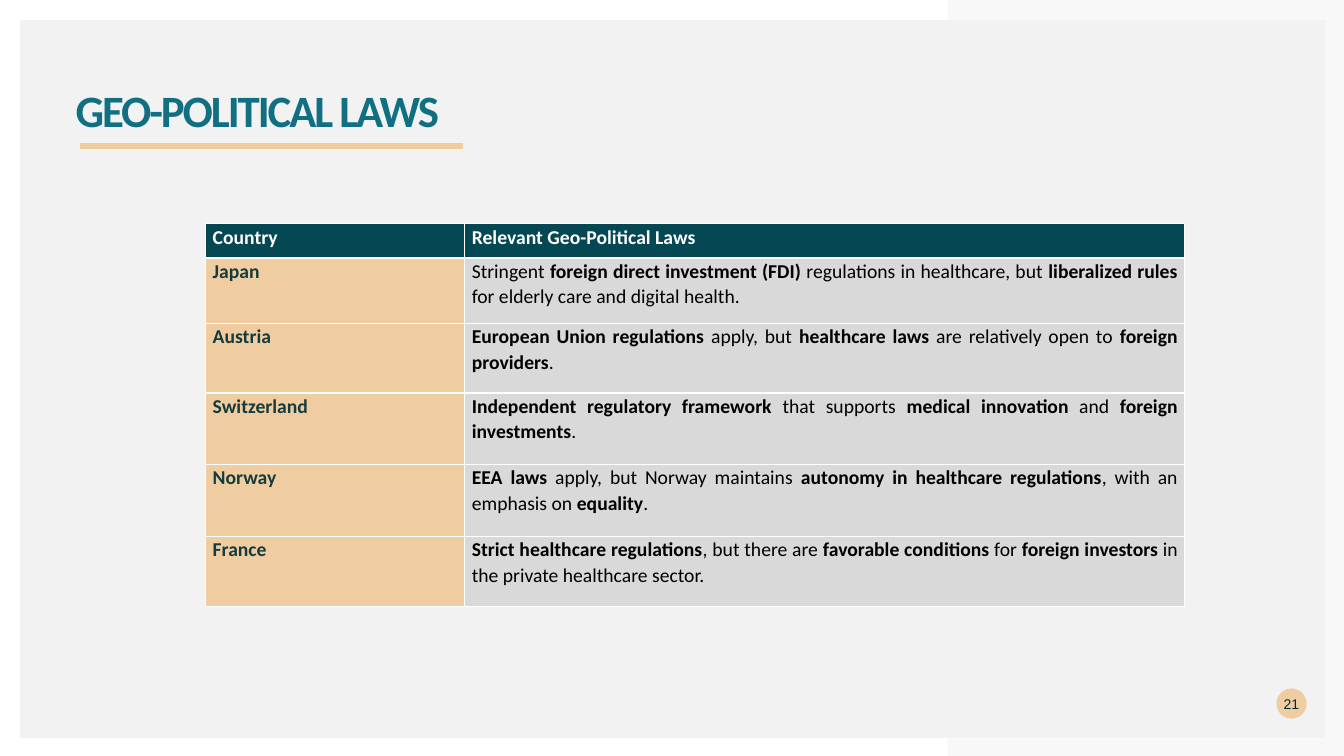
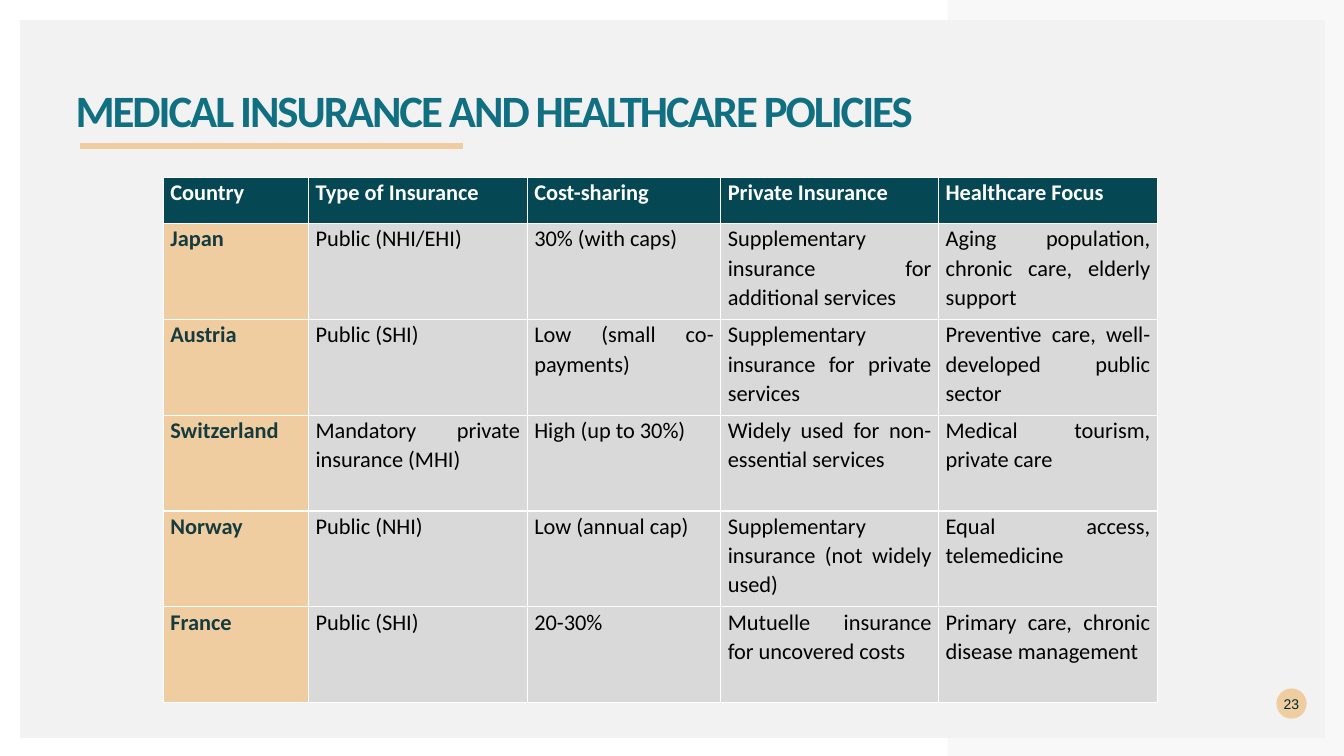
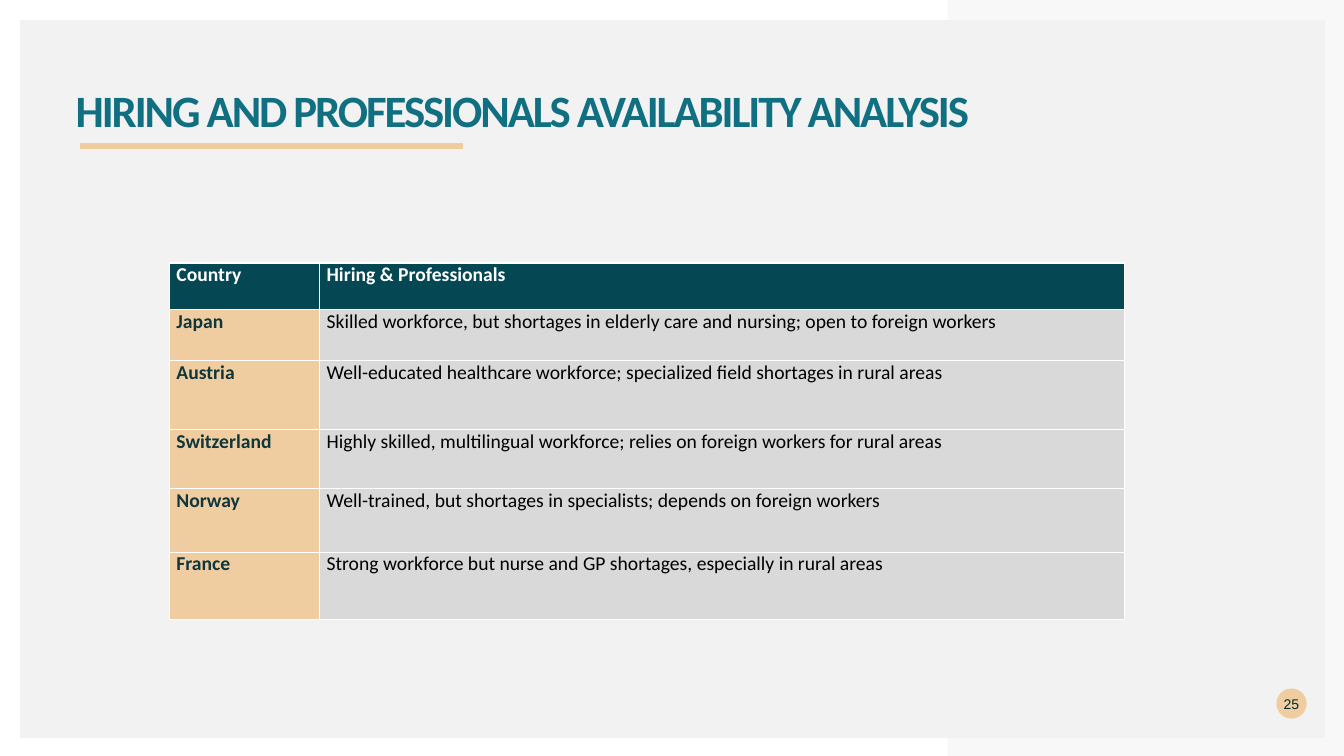
import lxml.etree
import pptx
import pptx.dml.color
import pptx.enum.shapes
import pptx.enum.text
import pptx.oxml.ns
import pptx.util

Inches = pptx.util.Inches
Pt = pptx.util.Pt
qn = pptx.oxml.ns.qn
SHAPES = pptx.enum.shapes.MSO_SHAPE
ALIGN = pptx.enum.text.PP_ALIGN

# Shared colours and fonts
WHITE, BLACK = "FFFFFF", "000000"
PANEL_GREY, CELL_GREY = "F2F2F2", "D9D9D9"
TEAL, DARK_TEAL, NUMBER_TEAL = "107082", "054854", "00292E"
SAND = "F0CDA1"
BODY_FONT, NUMBER_FONT = "Calibri", "Arial"

# Slide content; ** switches bold on and off
LAWS = [
    ["Country", "Relevant Geo-Political Laws"],
    ["Japan", "Stringent **foreign direct investment (FDI)** regulations in healthcare, "
     "but **liberalized rules** for elderly care and digital health."],
    ["Austria", "**European Union regulations** apply, but **healthcare laws** "
     "are relatively open to **foreign providers**."],
    ["Switzerland", "**Independent regulatory framework** that supports "
     "**medical innovation** and **foreign investments**."],
    ["Norway", "**EEA laws** apply, but Norway maintains "
     "**autonomy in healthcare regulations**, with an emphasis on **equality**."],
    ["France", "**Strict healthcare regulations**, but there are **favorable conditions** "
     "for **foreign investors** in the private healthcare sector."],
]
INSURANCE = [
    ["Country", "Type of Insurance", "Cost-sharing", "Private Insurance", "Healthcare Focus"],
    ["Japan", "Public (NHI/EHI)", "30% (with caps)",
     "Supplementary insurance for additional services",
     "Aging population, chronic care, elderly support"],
    ["Austria", "Public (SHI)", "Low (small co-payments)",
     "Supplementary insurance for private services",
     "Preventive care, well-developed public sector"],
    ["Switzerland", "Mandatory private insurance (MHI)", "High (up to 30%)",
     "Widely used for non-essential services", "Medical tourism, private care"],
    ["Norway", "Public (NHI)", "Low (annual cap)",
     "Supplementary insurance (not widely used)", "Equal access, telemedicine"],
    ["France", "Public (SHI)", "20-30%",
     "Mutuelle insurance for uncovered costs", "Primary care, chronic disease management"],
]
HIRING = [
    ["Country", "Hiring & Professionals"],
    ["Japan", "Skilled workforce, but shortages in elderly care and nursing; "
     "open to foreign workers"],
    ["Austria", "Well-educated healthcare workforce; specialized field shortages in rural areas"],
    ["Switzerland", "Highly skilled, multilingual workforce; "
     "relies on foreign workers for rural areas"],
    ["Norway", "Well-trained, but shortages in specialists; depends on foreign workers"],
    ["France", "Strong workforce but nurse and GP shortages, especially in rural areas"],
]


def rgb(value):
    return pptx.dml.color.RGBColor.from_string(value)


def fill_shape(shape, color):
    shape.shadow.inherit = False
    shape.fill.solid()
    shape.fill.fore_color.rgb = rgb(color)
    shape.line.fill.background()


def format_run(run, size, color, bold=False, font=BODY_FONT):
    run.font.name = font
    run.font.size = Pt(size)
    run.font.bold = bold
    run.font.color.rgb = rgb(color)


def clear_margins(text_frame):
    text_frame.margin_left = text_frame.margin_right = 0
    text_frame.margin_top = text_frame.margin_bottom = 0


# Background panel and the translucent frame around its right part
def add_background(slide):
    panel = slide.shapes.add_shape(
        SHAPES.RECTANGLE, Inches(0.2), Inches(0.2), Inches(12.94), Inches(7.12))
    fill_shape(panel, PANEL_GREY)

    # Outline in hundredths of an inch
    builder = slide.shapes.build_freeform(940, 0, scale=Inches(0.01))
    builder.add_line_segments(
        [(1333, 0), (1333, 750), (940, 750), (940, 730),
         (1314, 730), (1314, 20), (940, 20)], close=True)
    frame = builder.convert_to_shape()
    fill_shape(frame, PANEL_GREY)
    color = frame.fill._xPr.find(qn("a:solidFill"))[0]
    lxml.etree.SubElement(color, qn("a:alpha"), val="50000")


def add_title(slide, text):
    box = slide.shapes.add_textbox(Inches(0.75), Inches(0.88), Inches(11.6), Inches(0.4))
    box.text_frame.word_wrap = True
    clear_margins(box.text_frame)
    paragraph = box.text_frame.paragraphs[0]
    paragraph.text = text
    paragraph.line_spacing = 0.9
    run = paragraph.runs[0]
    format_run(run, 32, TEAL, bold=True)
    run.font._element.set("spc", "-150")

    underline = slide.shapes.add_connector(
        pptx.enum.shapes.MSO_CONNECTOR.STRAIGHT,
        Inches(0.79), Inches(1.45), Inches(4.59), Inches(1.45))
    underline.line.color.rgb = rgb(SAND)
    underline.line.width = Pt(4.32)
    lxml.etree.SubElement(underline._element.spPr, qn("a:effectLst"))


def add_page_number(slide, number):
    badge = slide.shapes.add_shape(
        SHAPES.OVAL, Inches(12.66), Inches(6.83), Inches(0.3), Inches(0.3))
    fill_shape(badge, SAND)
    clear_margins(badge.text_frame)
    badge.text_frame.word_wrap = False
    badge.text_frame.vertical_anchor = pptx.enum.text.MSO_ANCHOR.MIDDLE
    paragraph = badge.text_frame.paragraphs[0]
    paragraph.text = str(number)
    paragraph.alignment = ALIGN.CENTER
    format_run(paragraph.runs[0], 10, NUMBER_TEAL, font=NUMBER_FONT)


def add_borders(cell):
    properties = cell._tc.get_or_add_tcPr()
    for side in ("a:lnL", "a:lnR", "a:lnT", "a:lnB"):
        line = lxml.etree.SubElement(properties, qn(side), w=str(Pt(1)))
        fill = lxml.etree.SubElement(line, qn("a:solidFill"))
        lxml.etree.SubElement(fill, qn("a:srgbClr"), val=WHITE)


def style_cell(cell, text, fill, color, bold, size, line_spacing, space_after):
    add_borders(cell)
    cell.fill.solid()
    cell.fill.fore_color.rgb = rgb(fill)
    cell.margin_left = cell.margin_right = Inches(0.07)
    cell.margin_top = cell.margin_bottom = 0
    paragraph = cell.text_frame.paragraphs[0]
    paragraph.alignment = ALIGN.JUSTIFY
    paragraph.line_spacing = line_spacing
    paragraph.space_after = Pt(space_after)
    for index, part in enumerate(text.split("**")):
        if part:
            run = paragraph.add_run()
            run.text = part
            format_run(run, size, color, bold=bold or index % 2 == 1)


def add_country_table(slide, rows, left, top, widths, heights, size=14,
                      country_color="153B3F", line_spacing=1.07, space_after=8):
    table = slide.shapes.add_table(
        len(rows), len(widths), Inches(left), Inches(top),
        Inches(sum(widths)), Inches(sum(heights))).table
    table.horz_banding = False
    for column, width in zip(table.columns, widths):
        column.width = Inches(width)
    for row, height in zip(table.rows, heights):
        row.height = Inches(height)
    for row_index, texts in enumerate(rows):
        for column_index, text in enumerate(texts):
            if row_index == 0:
                look = (DARK_TEAL, WHITE, True)
            elif column_index == 0:
                look = (SAND, country_color, True)
            else:
                look = (CELL_GREY, BLACK, False)
            style_cell(table.cell(row_index, column_index), text, *look,
                       size, line_spacing, space_after)


def add_slide(presentation, title, number):
    slide = presentation.slides.add_slide(presentation.slide_layouts[6])
    add_background(slide)
    add_page_number(slide, number)
    add_title(slide, title)
    return slide


def main():
    presentation = pptx.Presentation()
    presentation.slide_width = Inches(13.33)
    presentation.slide_height = Inches(7.5)

    # Laws by country
    slide = add_slide(presentation, "GEO-POLITICAL LAWS", 21)
    add_country_table(slide, LAWS, 2.04, 2.22, [2.57, 7.14],
                      [0.34, 0.65, 0.69, 0.71, 0.71, 0.7])

    # Insurance by country
    slide = add_slide(presentation, "MEDICAL INSURANCE AND HEALTHCARE POLICIES", 23)
    add_country_table(slide, INSURANCE, 1.62, 1.76, [1.44, 2.17, 1.92, 2.16, 2.17],
                      [0.46] + [0.95] * 5, size=16)

    # Workforce by country
    slide = add_slide(presentation, "HIRING AND PROFESSIONALS AVAILABILITY ANALYSIS", 25)
    add_country_table(slide, HIRING, 1.68, 2.61, [1.49, 7.98],
                      [0.46, 0.51, 0.68, 0.59, 0.63, 0.67],
                      country_color="0F363C", line_spacing=1.0, space_after=0)

    presentation.save("out.pptx")


if __name__ == "__main__":
    main()
